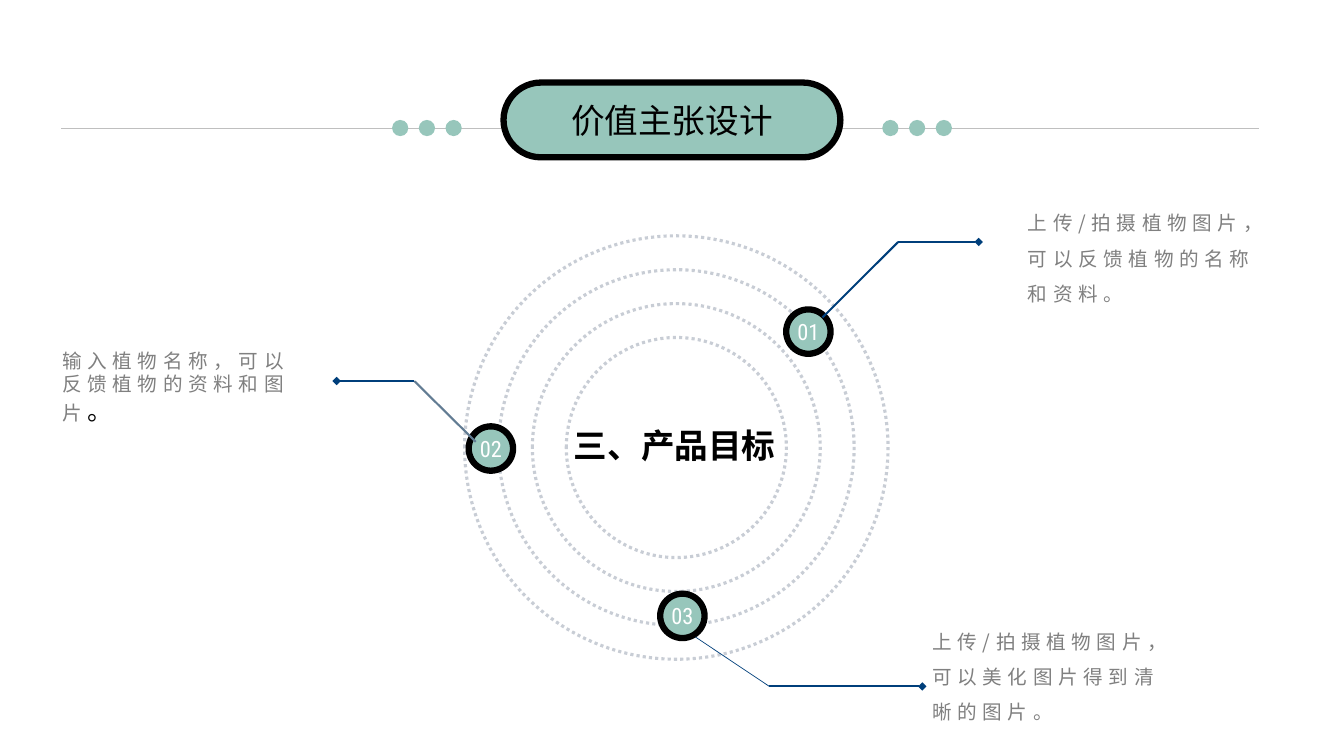
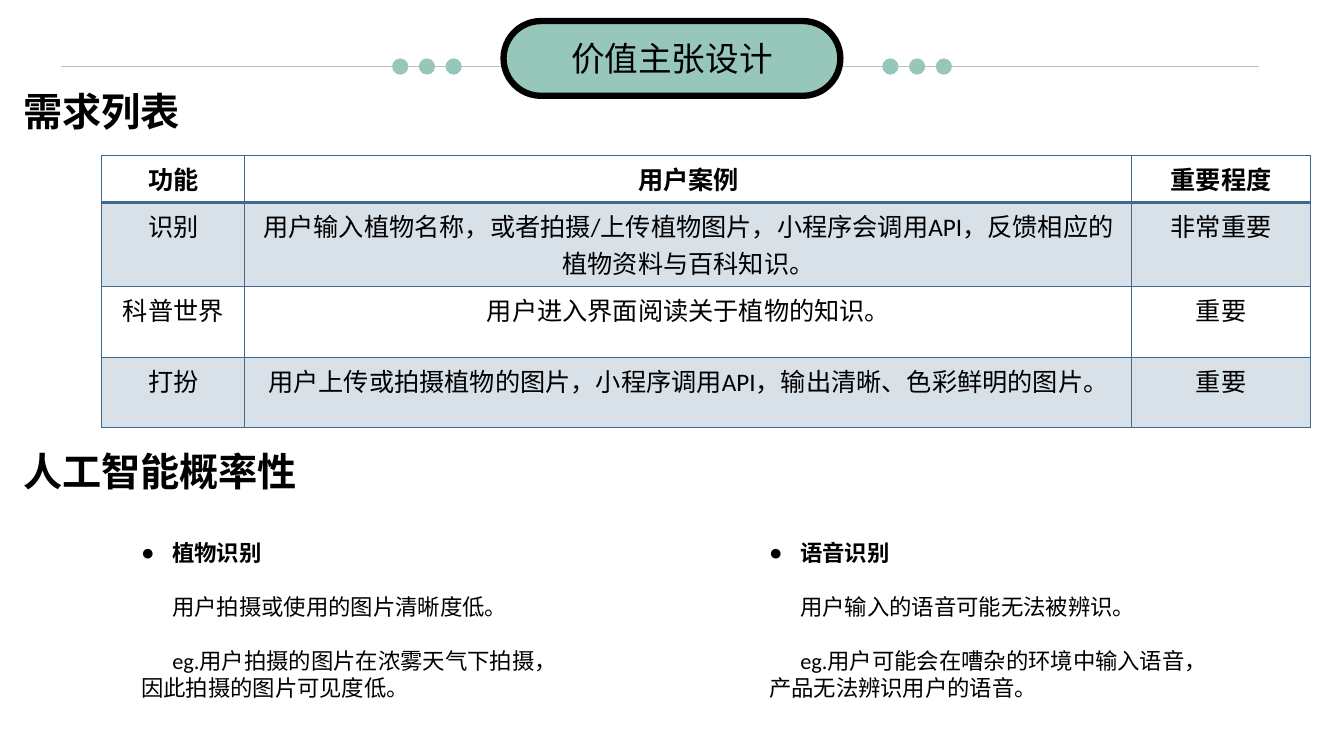
import pptx
import pptx.dml.color
import pptx.enum.dml
import pptx.enum.lang
import pptx.enum.shapes
import pptx.enum.text
import pptx.oxml
import pptx.oxml.ns
import pptx.util

COLS, ROWS = 160, 90        # square grid over the 16:9 slide
CELL = 1 / 12               # inches per grid cell
MINT, BLACK, WHITE = "97C6BB", "000000", "FFFFFF"
NAVY, SLATE, STEEL, BAND = "003F7B", "627C93", "40698D", "D9E1E8"
RULE, RING, GREY = "BFBFBF", "C8CDD5", "808080"
LATIN, CJK, DIGITS = "Calibri", "Noto Sans CJK JP", "Roboto Condensed"

Shape = pptx.enum.shapes.MSO_SHAPE
Align = pptx.enum.text.PP_ALIGN
Anchor = pptx.enum.text.MSO_ANCHOR


def rgb(color):
    return pptx.dml.color.RGBColor.from_string(color)


def grid(*cells):
    return [pptx.util.Inches(n * CELL) for n in cells]


def element(parent, tag, **attributes):
    child = parent.makeelement(pptx.oxml.ns.qn(tag), attributes)
    parent.append(child)
    return child


class Deck:
    def __init__(self):
        self.file = pptx.Presentation()
        self.file.slide_width, self.file.slide_height = grid(COLS, ROWS)
        self.slide = None

    # --- text ---
    def run(self, paragraph, text, size, color=BLACK, font=LATIN, bold=False, spacing=0):
        run = paragraph.add_run()
        run.text = text
        run.font.size = pptx.util.Pt(size)
        run.font.bold = bold
        run.font.name = font
        run.font.color.rgb = rgb(color)
        run.font.language_id = pptx.enum.lang.MSO_LANGUAGE_ID.SIMPLIFIED_CHINESE
        properties = run.font._element
        element(properties, "a:ea", typeface=CJK)
        if spacing:
            properties.set("spc", str(spacing * 100))

    def text(self, box, runs, align=Align.LEFT, line_spacing=None, wrap=True):
        """Each entry of runs is (text, style)."""
        frame = self.slide.shapes.add_textbox(*grid(*box)).text_frame
        frame.word_wrap = wrap
        paragraph = frame.paragraphs[0]
        paragraph.alignment = align
        if line_spacing:
            paragraph.line_spacing = line_spacing
        for words, style in runs:
            self.run(paragraph, words, **style)

    def place(self, placeholder, box):
        placeholder.left, placeholder.top, placeholder.width, placeholder.height = grid(*box)
        frame = placeholder.text_frame
        frame.auto_size = pptx.enum.text.MSO_AUTO_SIZE.NONE
        frame.word_wrap = True
        return frame

    def bullet_list(self, index, box, heading, lines, size=16):
        """Bulleted heading, indented lines, and a last line flush left."""
        frame = self.place(self.slide.placeholders[index], box)
        frame.vertical_anchor = Anchor.TOP
        indent = pptx.util.Inches(0.31)
        last = len(lines)
        for i, line in enumerate([heading, *lines]):
            paragraph = frame.paragraphs[0] if i == 0 else frame.add_paragraph()
            paragraph.alignment = Align.LEFT
            paragraph.space_before = pptx.util.Pt(19.3 if 0 < i < last else 0)
            properties = paragraph._p.get_or_add_pPr()
            properties.set("marL", str(0 if i == last else indent))
            properties.set("indent", str(-indent if i == 0 else 0))
            if i == 0:
                element(properties, "a:buChar", char="●")
            else:
                element(properties, "a:buNone")
            self.run(paragraph, line, size, bold=i == 0)

    # --- shapes and lines ---
    def shape(self, kind, box, fill=None, line=None, width=0):
        shape = self.slide.shapes.add_shape(kind, *grid(*box))
        shape.shadow.inherit = False
        if fill:
            shape.fill.solid()
            shape.fill.fore_color.rgb = rgb(fill)
        else:
            shape.fill.background()
        if line:
            shape.line.color.rgb = rgb(line)
            shape.line.width = pptx.util.Pt(width)
        else:
            shape.line.fill.background()
        return shape

    def circle(self, x, y, diameter, **paint):
        """Circle given by its centre."""
        box = (x - diameter / 2, y - diameter / 2, diameter, diameter)
        return self.shape(Shape.OVAL, box, **paint)

    def ring(self, x, y, diameter):
        ring = self.circle(x, y, diameter, line=RING, width=2.25)
        ring.line.dash_style = pptx.enum.dml.MSO_LINE.ROUND_DOT

    def line(self, start, end, color, width, diamond=False):
        line = self.slide.shapes.add_connector(
            pptx.enum.shapes.MSO_CONNECTOR.STRAIGHT, *grid(*start, *end))
        line.line.color.rgb = rgb(color)
        line.line.width = pptx.util.Pt(width)
        if diamond:
            element(line.line._get_or_add_ln(), "a:tailEnd", type="diamond")
        element(line._element.spPr, "a:effectLst")

    def leader(self, start, elbow, end, color=NAVY, width=1.5):
        self.line(start, elbow, color, width)
        self.line(elbow, end, NAVY, 1.5, diamond=True)

    def marker(self, x, y, number):
        marker = self.circle(x, y, 5.28, fill=MINT, line=BLACK, width=4.5)
        frame = marker.text_frame
        frame.margin_left = frame.margin_right = frame.margin_top = frame.margin_bottom = 0
        frame.word_wrap = False
        frame.vertical_anchor = Anchor.MIDDLE
        frame.paragraphs[0].alignment = Align.CENTER
        self.run(frame.paragraphs[0], number, 16, WHITE, DIGITS)

    # --- shared header: rule, dots, pill and title ---
    def new_slide(self, layout, title, middle):
        self.slide = self.file.slides.add_slide(self.file.slide_layouts[layout])
        rule = middle + 0.96
        self.line((7.3, rule), (149.9, rule), RULE, 0.25)
        for side in (-1, 1):
            for i in range(3):
                self.circle(COLS / 2 + side * (26 + 3.18 * i), rule, 1.93, fill=MINT)
        width, height = 40.1, 8.9
        box = ((COLS - width) / 2, middle - height / 2, width, height)
        pill = self.shape(Shape.ROUNDED_RECTANGLE, box, MINT, BLACK, 4.5)
        pill.adjustments[0] = 0.5
        heading = self.slide.shapes.title
        frame = self.place(heading, box)
        frame.vertical_anchor = Anchor.MIDDLE
        frame.paragraphs[0].alignment = Align.CENTER
        self.run(frame.paragraphs[0], title, 24, font=CJK)
        # bring the title in front of the pill
        heading._element.getparent().append(heading._element)

    # --- table ---
    def table(self, left, top, widths, heights, rows):
        table = self.slide.shapes.add_table(
            len(rows), len(widths), *grid(left, top, sum(widths), sum(heights))).table
        table.first_row = table.horz_banding = False
        for column, width in zip(table.columns, grid(*widths)):
            column.width = width
        for r, (row, height) in enumerate(zip(rows, grid(*heights))):
            table.rows[r].height = height
            for c, words in enumerate(row):
                cell = table.cell(r, c)
                if r % 2:
                    cell.fill.solid()
                    cell.fill.fore_color.rgb = rgb(BAND)
                else:
                    cell.fill.background()
                paragraph = cell.text_frame.paragraphs[0]
                paragraph.alignment = Align.CENTER
                self.run(paragraph, words, 18, bold=r == 0)
                self.borders(cell, {"L": 1, "R": 1, "T": 1, "B": 2 if r == 0 else 1})

    def borders(self, cell, widths):
        properties = cell._tc.get_or_add_tcPr()
        for i, (side, points) in enumerate(widths.items()):
            edge = element(properties, f"a:ln{side}", w=str(pptx.util.Pt(points)))
            element(element(edge, "a:solidFill"), "a:srgbClr", val=STEEL)
            properties.insert(i, edge)


def goals(deck):
    deck.new_slide(5, "价值主张设计", 14.28)

    # Rings around the central heading
    for i in range(4):
        deck.ring(80.52, 53.28, 26.2 + 8.07 * i)
    deck.text((67, 50.04, 26.64, 6), [("三、产品目标", dict(size=24, bold=True))],
              Align.CENTER, wrap=False)

    # Numbered goals with their leaders
    deck.marker(96.24, 39.48, "01")
    deck.marker(58.44, 53.4, "02")
    deck.marker(81.24, 73.32, "03")
    deck.leader((97.92, 37.8), (106.92, 28.8), (116.52, 28.8))
    deck.leader((56.64, 52.6), (49.32, 45.36), (40.08, 45.36), SLATE)
    deck.leader((82.8, 75.84), (91.6, 81.72), (109.8, 81.72), width=0.5)

    # Descriptions
    grey = dict(size=14, color=GREY, font=CJK, spacing=4)
    deck.text((121.2, 23.16, 32.4, 17),
              [("上传/拍摄植物图片，可以反馈植物的名称和资料。", grey)], line_spacing=1.5)
    deck.text((6.24, 40.92, 31.68, 10.56),
              [("输入植物名称，可以反馈植物的资料和图片", grey), ("。", dict(size=18))])
    deck.text((109.8, 72.96, 32.4, 17),
              [("上传/拍摄植物图片，可以美化图片得到清晰的图片。", grey)], line_spacing=1.5)


def requirements(deck):
    deck.new_slide(3, "价值主张设计", 6.96)

    # Section headings
    for top, heading in ((9.84, "需求列表"), (52.68, "人工智能概率性")):
        deck.text((1.56, top, 38, 6.84), [(heading, dict(size=28, bold=True))])

    # Requirements
    deck.table(12.12, 18.48, (17.04, 105.6, 21.24), (5.64, 10, 8.4, 8.4), [
        ("功能", "用户案例", "重要程度"),
        ("识别", "用户输入植物名称，或者拍摄/上传植物图片，小程序会调用API，"
                 "反馈相应的植物资料与百科知识。", "非常重要"),
        ("科普世界", "用户进入界面阅读关于植物的知识。", "重要"),
        ("打扮", "用户上传或拍摄植物的图片，小程序调用API，输出清晰、色彩鲜明的图片。", "重要"),
    ])

    # Sources of uncertainty
    deck.bullet_list(1, (15.6, 63.6, 56, 23), "植物识别", [
        "用户拍摄或使用的图片清晰度低。",
        "eg.用户拍摄的图片在浓雾天气下拍摄，",
        "因此拍摄的图片可见度低。"])
    deck.bullet_list(2, (90.36, 63.6, 61.3, 23), "语音识别", [
        "用户输入的语音可能无法被辨识。",
        "eg.用户可能会在嘈杂的环境中输入语音，",
        "产品无法辨识用户的语音。"])


def main():
    deck = Deck()
    goals(deck)
    requirements(deck)
    deck.file.save("out.pptx")


if __name__ == "__main__":
    main()
